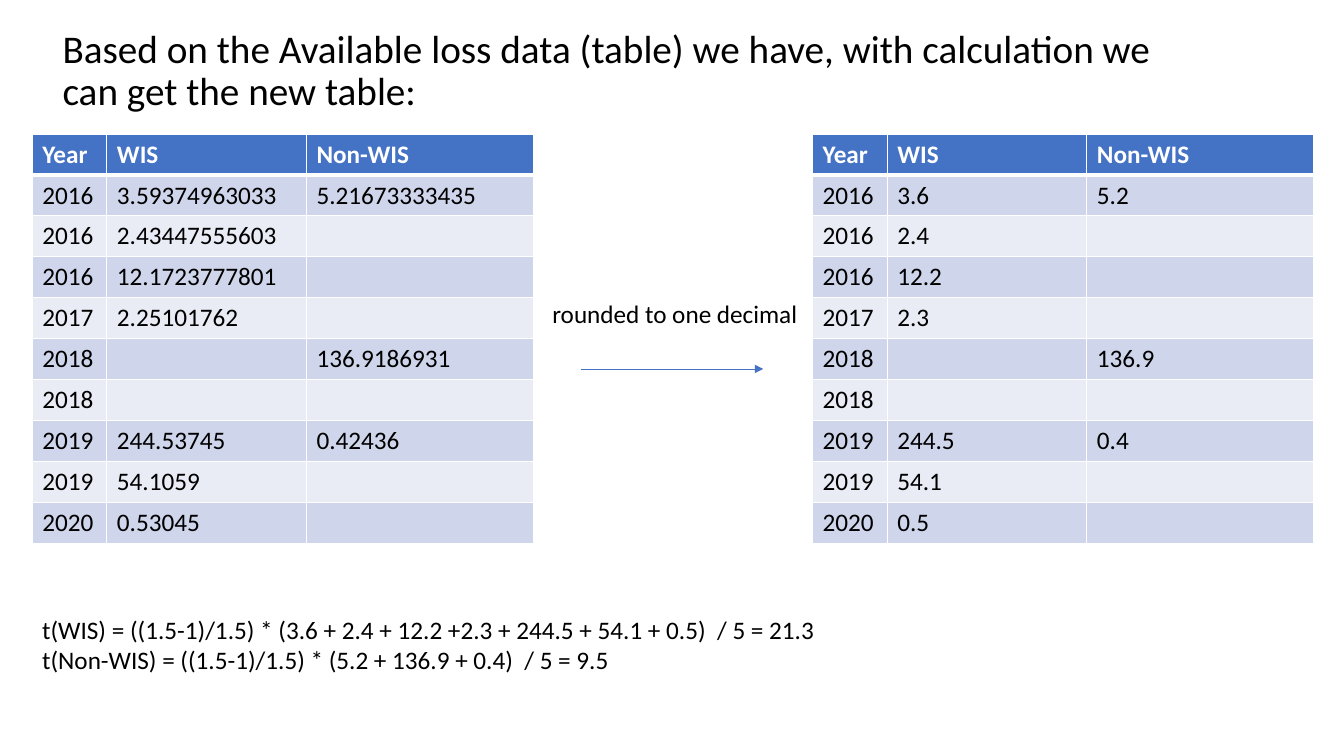
from lxml import etree
from pptx import Presentation
from pptx import util as u
from pptx.dml.color import RGBColor
from pptx.enum import shapes, text
from pptx.oxml.ns import qn

COLORS = {
    "text": "000000",
    "white": "FFFFFF",
    "accent": "4472C4",
    "band_dark": "CFD5EA",
    "band_light": "E9EBF5",
}
HEADER = ("Year", "WIS", "Non-WIS")
LOSSES = [
    ("2016", "3.59374963033", "5.21673333435"),
    ("2016", "2.43447555603", ""),
    ("2016", "12.1723777801", ""),
    ("2017", "2.25101762", ""),
    ("2018", "", "136.9186931"),
    ("2018", "", ""),
    ("2019", "244.53745", "0.42436"),
    ("2019", "54.1059", ""),
    ("2020", "0.53045", ""),
]
COLUMN_WIDTHS = (0.74, 1.98, 2.25)
ROW_HEIGHT = 0.406
TABLE_TOP = 1.33


def one_decimal(value):
    return f"{float(value):.1f}" if value else ""


class SlideBuilder:
    """Holds the slide and its style, and adds one kind of element per method."""

    font = "Calibri"
    size = 18

    def __init__(self, slide):
        self.slide = slide

    def color(self, name):
        return RGBColor.from_string(COLORS[name])

    def add_run(self, paragraph, words, size=None, color="text", bold=False):
        run = paragraph.add_run()
        run.text = words
        run.font.name = self.font
        run.font.size = u.Pt(size or self.size)
        run.font.bold = bold
        run.font.color.rgb = self.color(color)

    def add_heading(self, words, left, top, width, height):
        """Fills the body placeholder with one unbulleted paragraph."""
        body = self.slide.placeholders[1]
        body.left, body.top = u.Inches(left), u.Inches(top)
        body.width, body.height = u.Inches(width), u.Inches(height)
        frame = body.text_frame
        frame.auto_size = text.MSO_AUTO_SIZE.NONE
        frame.vertical_anchor = text.MSO_ANCHOR.TOP
        paragraph = frame.paragraphs[0]
        paragraph.line_spacing = 0.9
        paragraph.space_before = u.Pt(10)
        properties = paragraph._p.get_or_add_pPr()
        properties.set("marL", "0")
        properties.set("indent", "0")
        etree.SubElement(properties, qn("a:buNone"))
        self.add_run(paragraph, words, size=28)

    def add_text(self, lines, left, top, width, height):
        box = self.slide.shapes.add_textbox(
            u.Inches(left), u.Inches(top), u.Inches(width), u.Inches(height))
        frame = box.text_frame
        frame.word_wrap = True
        frame.auto_size = text.MSO_AUTO_SIZE.SHAPE_TO_FIT_TEXT
        for index, line in enumerate(lines):
            paragraph = frame.add_paragraph() if index else frame.paragraphs[0]
            self.add_run(paragraph, line)

    def add_borders(self, cell, row):
        """Draws thin white borders, with a thick one under the header row."""
        properties = cell._tc.get_or_add_tcPr()
        thick_side = {0: "lnB", 1: "lnT"}.get(row)
        for side in ("lnL", "lnR", "lnT", "lnB"):
            width = u.Pt(3 if side == thick_side else 1)
            line = etree.SubElement(properties, qn(f"a:{side}"), w=str(width))
            fill = etree.SubElement(line, qn("a:solidFill"))
            etree.SubElement(fill, qn("a:srgbClr"), val=COLORS["white"])

    def add_table(self, rows, left, top):
        table = self.slide.shapes.add_table(
            len(rows), len(COLUMN_WIDTHS), u.Inches(left), u.Inches(top),
            u.Inches(sum(COLUMN_WIDTHS)), u.Inches(ROW_HEIGHT * len(rows))).table
        for column, width in zip(table.columns, COLUMN_WIDTHS):
            column.width = u.Inches(width)
        for row, values in enumerate(rows):
            is_header = row == 0
            band = "band_dark" if row % 2 else "band_light"
            for column, value in enumerate(values):
                cell = table.cell(row, column)
                self.add_borders(cell, row)
                cell.fill.solid()
                cell.fill.fore_color.rgb = self.color("accent" if is_header else band)
                if value:
                    self.add_run(cell.text_frame.paragraphs[0], value,
                                 color="white" if is_header else "text", bold=is_header)

    def add_arrow(self, start_x, end_x, y):
        arrow = self.slide.shapes.add_connector(
            shapes.MSO_CONNECTOR.STRAIGHT,
            u.Inches(start_x), u.Inches(y), u.Inches(end_x), u.Inches(y))
        arrow.line.color.rgb = self.color("accent")
        arrow.line.width = u.Pt(0.5)
        etree.SubElement(arrow.line._get_or_add_ln(), qn("a:tailEnd"), type="triangle")
        etree.SubElement(arrow._element.spPr, qn("a:effectLst"))


def main():
    presentation = Presentation()
    presentation.slide_width = u.Inches(13.33)
    presentation.slide_height = u.Inches(7.5)
    slide = presentation.slides.add_slide(presentation.slide_layouts[1])
    title = slide.shapes.title._element
    title.getparent().remove(title)

    rounded = [(year, one_decimal(wis), one_decimal(non_wis))
               for year, wis, non_wis in LOSSES]
    builder = SlideBuilder(slide)
    builder.add_heading(
        "Based on the Available loss data (table) we have, "
        "with calculation we can get the new table:", 0.52, 0.24, 11.5, 4.76)
    builder.add_table([HEADER, *LOSSES], 0.32, TABLE_TOP)
    builder.add_arrow(5.76, 7.57, 3.66)
    builder.add_text(["rounded to one decimal"], 5.38, 2.91, 2.69, 0.4)
    builder.add_table([HEADER, *rounded], 8.06, TABLE_TOP)
    builder.add_text([
        "t(WIS) = ((1.5-1)/1.5) * (3.6 + 2.4 + 12.2 +2.3 + 244.5 + 54.1 + 0.5)  / 5 = 21.3",
        "t(Non-WIS) = ((1.5-1)/1.5) * (5.2 + 136.9 + 0.4)  / 5 = 9.5",
    ], 0.32, 6.04, 12.34, 0.71)
    presentation.save("out.pptx")


if __name__ == "__main__":
    main()
